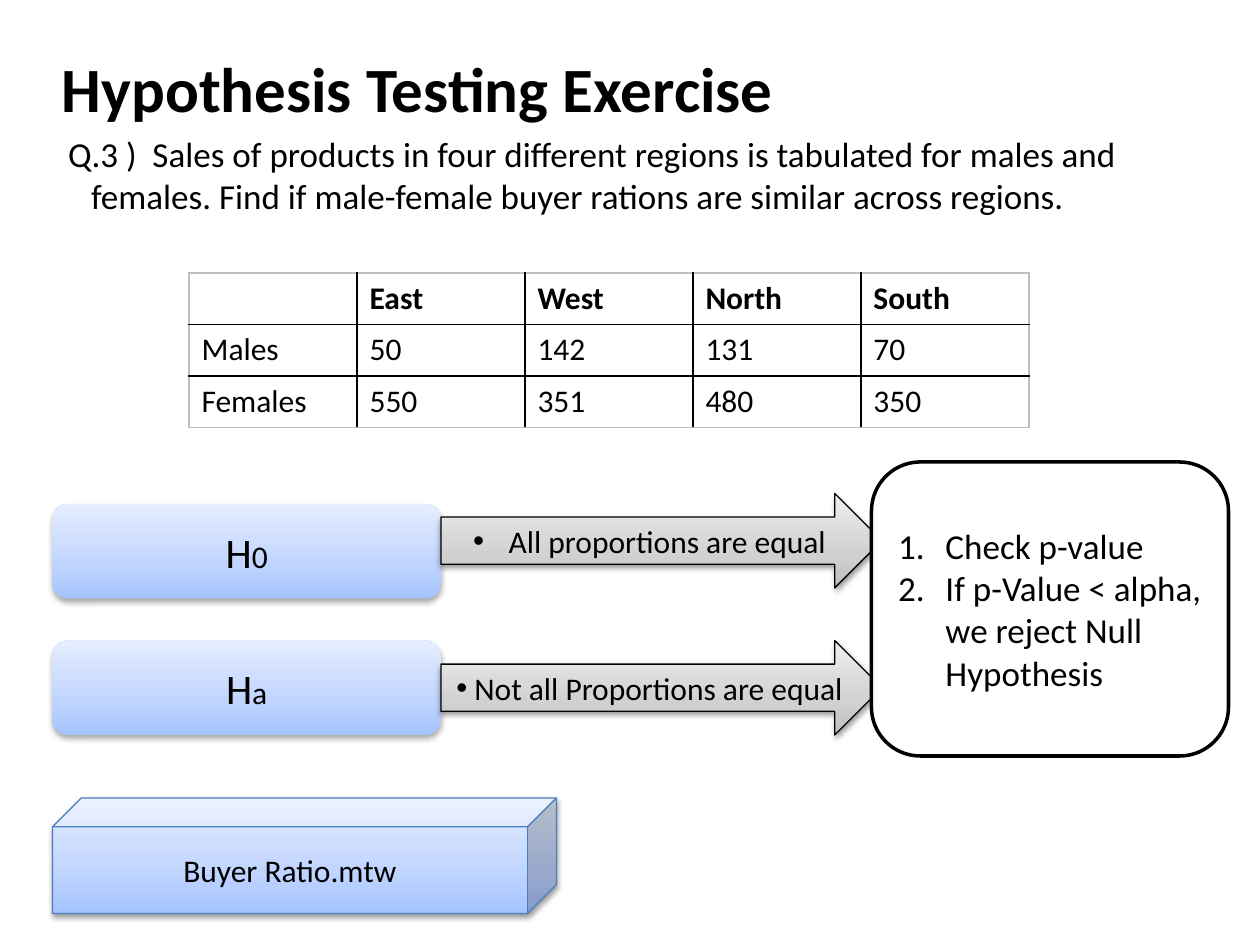
"""Build the hypothesis testing exercise slide."""
from lxml.etree import SubElement
from pptx import Presentation
from pptx.dml.color import RGBColor
from pptx.enum.shapes import MSO_SHAPE
from pptx.enum.text import MSO_ANCHOR, PP_ALIGN
from pptx.oxml.ns import qn
from pptx.util import Pt

PX = 7620
BLACK = "000000"
BLUES = ["A4C4FF", "BFD4FF", "E6EEFF"]
GREYS = ["BDBDBD", "D1D1D1", "EEEEEE"]


def format_text(text_frame, size, align=PP_ALIGN.LEFT, bold=False, anchor=MSO_ANCHOR.MIDDLE):
    text_frame.word_wrap = True
    text_frame.vertical_anchor = anchor
    for paragraph in text_frame.paragraphs:
        paragraph.alignment = align
        for run in paragraph.runs:
            run.font.name = "Calibri"
            run.font.size = Pt(size)
            run.font.bold = bold
            run.font.color.rgb = RGBColor.from_string(BLACK)


def add_gradient_shape(kind, box, colors, line, shadow):
    shape = slide.shapes.add_shape(kind, *[value * PX for value in box])
    shape.fill.gradient()
    shape.fill.gradient_angle = 90
    stops = shape._element.spPr.find(qn("a:gradFill")).find(qn("a:gsLst"))
    for stop in list(stops):
        stops.remove(stop)
    for position, color in zip([0, 35000, 100000], colors):
        stop = SubElement(stops, qn("a:gs"), pos=str(position))
        SubElement(stop, qn("a:srgbClr"), val=color)
    if line:
        shape.line.color.rgb = RGBColor.from_string(line)
        shape.line.width = Pt(0.75)
    else:
        shape.line.fill.background()
    shape.shadow.inherit = False
    alpha, blur, distance = shadow
    effects = shape._element.spPr.find(qn("a:effectLst"))
    outer = SubElement(effects, qn("a:outerShdw"), blurRad=str(Pt(blur)),
                       dist=str(Pt(distance)), dir="5400000", rotWithShape="0")
    color = SubElement(outer, qn("a:srgbClr"), val=BLACK)
    SubElement(color, qn("a:alpha"), val=str(alpha * 1000))
    return shape


presentation = Presentation()
presentation.slide_width = 1200 * PX
presentation.slide_height = 900 * PX
slide = presentation.slides.add_slide(presentation.slide_layouts[5])

title = slide.shapes.title
title.left, title.top, title.width, title.height = [value * PX for value in (47, 36, 1093, 94)]
title.text_frame.text = "Hypothesis Testing Exercise"
format_text(title.text_frame, 36, bold=True)

question = slide.shapes.add_textbox(30 * PX, 120 * PX, 1150 * PX, 750 * PX)
question.text_frame.text = (
    "Q.3 )  Sales of products in four different regions is tabulated for males and "
    "females. Find if male-female buyer rations are similar across regions."
)
format_text(question.text_frame, 20, anchor=MSO_ANCHOR.TOP)
properties = question.text_frame.paragraphs[0]._p.get_or_add_pPr()
properties.set("marL", str(45 * PX))
properties.set("indent", str(-22 * PX))

rows = [
    ["", "East", "West", "North", "South"],
    ["Males", "50", "142", "131", "70"],
    ["Females", "550", "351", "480", "350"],
]
table = slide.shapes.add_table(3, 5, 180 * PX, 260 * PX, 800 * PX, 147 * PX).table
for row_index, row in enumerate(rows):
    table.rows[row_index].height = 49 * PX
    for column_index, value in enumerate(row):
        cell = table.cell(row_index, column_index)
        cell.text_frame.text = value
        format_text(cell.text_frame, 18, bold=row_index == 0, anchor=MSO_ANCHOR.TOP)
        outer_edges = {
            "a:lnL": column_index == 0,
            "a:lnR": column_index == 4,
            "a:lnT": row_index == 0,
            "a:lnB": row_index == 2,
        }
        cell_properties = cell._tc.get_or_add_tcPr()
        for edge, is_outer in outer_edges.items():
            border = SubElement(cell_properties, qn(edge), w=str(Pt(1)))
            fill = SubElement(border, qn("a:solidFill"))
            SubElement(fill, qn("a:srgbClr"), val="BFBFBF" if is_outer else BLACK)
        cell.fill.background()

for top, subscript in [(480, "0"), (610, "a")]:
    hypothesis = add_gradient_shape(MSO_SHAPE.ROUNDED_RECTANGLE, (50, top, 370, 90),
                                    BLUES, None, (32, 3.5, 2.2))
    paragraph = hypothesis.text_frame.paragraphs[0]
    for text in ["H", subscript]:
        paragraph.add_run().text = text
    format_text(hypothesis.text_frame, 24, PP_ALIGN.CENTER)
    paragraph.runs[1].font.size = Pt(18)

statements = [(470, " All proportions are equal", 27), (610, " Not all Proportions are equal", 0)]
for top, text, indent in statements:
    arrow = add_gradient_shape(MSO_SHAPE.RIGHT_ARROW, (420, top, 420, 90),
                               GREYS, BLACK, (38, 3.1, 1.6))
    arrow.text_frame.text = text
    format_text(arrow.text_frame, 18, PP_ALIGN.CENTER)
    properties = arrow.text_frame.paragraphs[0]._p.get_or_add_pPr()
    properties.set("marL", str(indent * PX))
    properties.set("indent", str(-indent * PX))
    SubElement(properties, qn("a:buFont"), typeface="Arial")
    SubElement(properties, qn("a:buChar"), char="•")

decision = slide.shapes.add_shape(MSO_SHAPE.ROUNDED_RECTANGLE, 830 * PX, 440 * PX, 340 * PX, 280 * PX)
decision.shadow.inherit = False
decision.fill.solid()
decision.fill.fore_color.rgb = RGBColor.from_string("FFFFFF")
decision.line.color.rgb = RGBColor.from_string(BLACK)
decision.line.width = Pt(2)
decision.text_frame.text = "Check p-value\nIf p-Value < alpha, we reject Null Hypothesis"
format_text(decision.text_frame, 20)
for paragraph in decision.text_frame.paragraphs:
    properties = paragraph._p.get_or_add_pPr()
    properties.set("marL", str(45 * PX))
    properties.set("indent", str(-45 * PX))
    SubElement(properties, qn("a:buFont"), typeface="+mj-lt")
    SubElement(properties, qn("a:buAutoNum"), type="arabicPeriod")

data_file = add_gradient_shape(MSO_SHAPE.CUBE, (50, 760, 480, 110), BLUES, "4B7EBC", (38, 3.1, 1.6))
data_file.text_frame.text = "Buyer Ratio.mtw"
format_text(data_file.text_frame, 18, PP_ALIGN.CENTER)

presentation.save("out.pptx")
